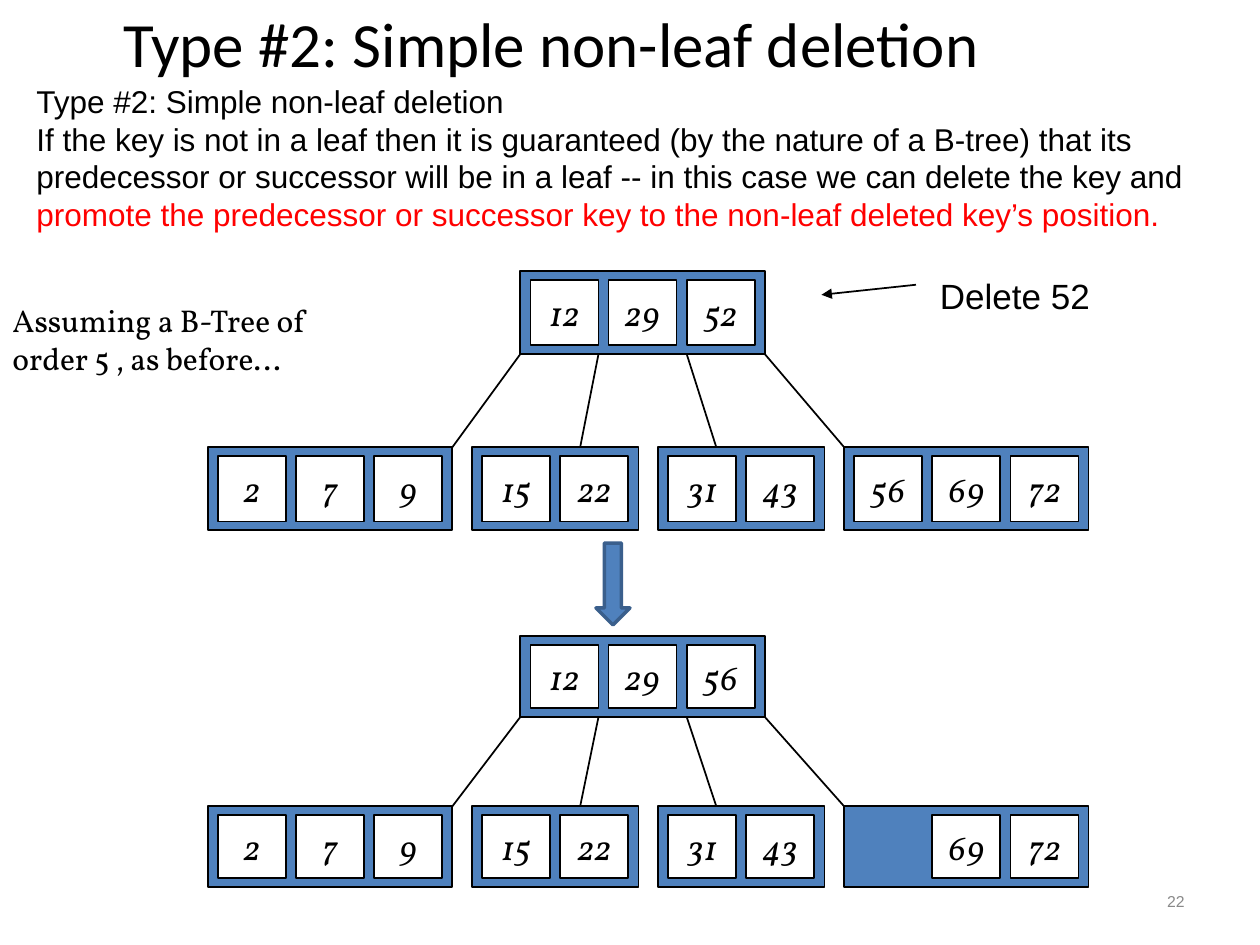
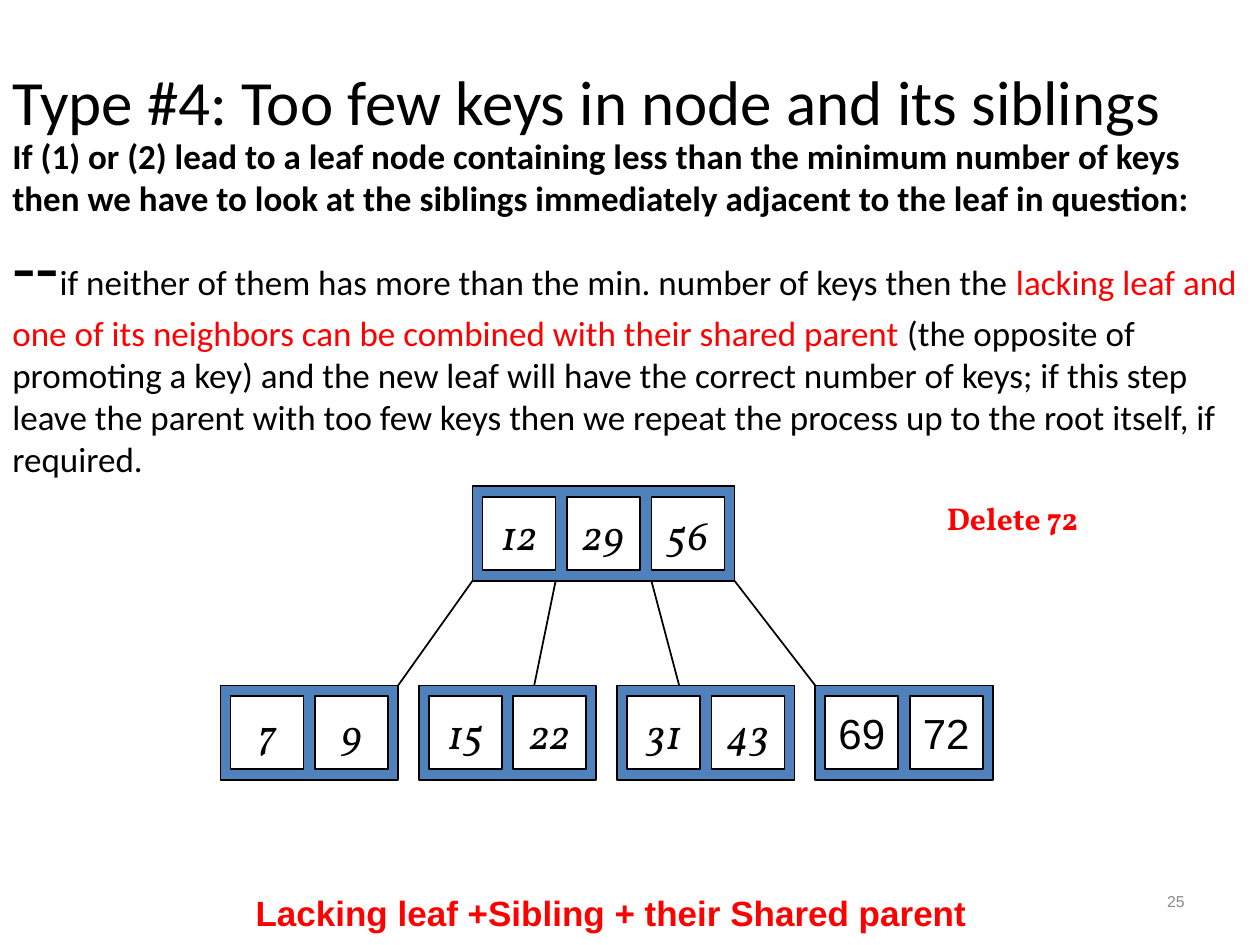
from lxml import etree
from pptx import Presentation
from pptx import util as u
from pptx.dml.color import RGBColor
from pptx.enum import shapes, text
from pptx.oxml import ns

Inches, Pt = u.Inches, u.Pt
COLORS = {"ink": "000000", "paper": "FFFFFF", "node": "4F81BD",
          "arrow": "3A5F8C", "accent": "FF0000", "muted": "898989"}
LEFT, CENTER, RIGHT = text.PP_ALIGN.LEFT, text.PP_ALIGN.CENTER, text.PP_ALIGN.RIGHT
TOP, MIDDLE = text.MSO_ANCHOR.TOP, text.MSO_ANCHOR.MIDDLE

# Text styles
TITLE = {"name": "Calibri", "size": 36}
BODY = {"name": "Arial", "size": 18}
BOOK = {"name": "Vollkorn", "size": 18}
LABEL = {"name": "Arial", "size": 20}
KEY = {"name": "Vollkorn", "size": 20, "italic": True}
NUMBER = {"name": "Arial", "size": 9, "color": "muted"}
ALERT = {"color": "accent", "bold": True}

# Tree sizes in inches
SMALL_TREE = {"cell": 0.54, "pitch": 0.62, "pad": 0.08, "node_height": 0.66,
              "cell_height": 0.52, "key": KEY}
FLAT_TREE = SMALL_TREE | {"node_height": 0.64, "cell_height": 0.5}
LARGE_TREE = {"cell": 0.58, "pitch": 0.67, "pad": 0.08, "node_height": 0.75,
              "cell_height": 0.58, "key": KEY | {"size": 24}}


def rgb(name):
    return RGBColor.from_string(COLORS[name])


class Deck:
    def __init__(self):
        self.presentation = Presentation()
        self.presentation.slide_width = Inches(10)
        self.presentation.slide_height = Inches(7.5)
        self.slide = None

    def new_slide(self, title, box, number, align=LEFT):
        layout = self.presentation.slide_layouts[5]
        self.slide = self.presentation.slides.add_slide(layout)
        shape = self.slide.shapes.title
        for name, value in zip(("left", "top", "width", "height"), box):
            setattr(shape, name, Inches(value))
        self.fill_text(shape, [[(title, TITLE)]], align, MIDDLE)
        self.text((7.17, 6.95, 2.33, 0.4), [[(number, NUMBER)]], RIGHT, MIDDLE)

    def fill_text(self, shape, paragraphs, align, anchor, wrap=True):
        """Fill a shape with paragraphs, each a list of (text, style) runs."""
        frame = shape.text_frame
        settings = {"auto_size": text.MSO_AUTO_SIZE.NONE, "word_wrap": wrap,
                    "vertical_anchor": anchor}
        for name, value in settings.items():
            setattr(frame, name, value)
        for index, runs in enumerate(paragraphs):
            paragraph = frame.add_paragraph() if index else frame.paragraphs[0]
            paragraph.alignment = align
            for content, style in runs:
                run = paragraph.add_run()
                run.text = content
                for name, value in style.items():
                    if name != "color":
                        setattr(run.font, name, Pt(value) if name == "size" else value)
                run.font.color.rgb = rgb(style.get("color", "ink"))

    def text(self, box, paragraphs, align=LEFT, anchor=TOP):
        shape = self.slide.shapes.add_textbox(*map(Inches, box))
        self.fill_text(shape, paragraphs, align, anchor)

    def shape(self, box, fill, line="ink", weight=1, parent=None,
              kind=shapes.MSO_SHAPE.RECTANGLE):
        parent = parent or self.slide.shapes
        shape = parent.add_shape(kind, *map(Inches, box))
        shape.shadow.inherit = False
        shape.fill.solid()
        shape.fill.fore_color.rgb = rgb(fill)
        shape.line.color.rgb = rgb(line)
        shape.line.width = Pt(weight)
        return shape

    def line(self, start, end, parent=None, arrow=False):
        parent = parent or self.slide.shapes
        connector = parent.add_connector(shapes.MSO_CONNECTOR.STRAIGHT,
                                         *map(Inches, (*start, *end)))
        connector.line.color.rgb = rgb("ink")
        connector.line.width = Pt(1)
        properties = connector._element.spPr
        if arrow:
            outline = properties.find(ns.qn("a:ln"))
            etree.SubElement(outline, ns.qn("a:tailEnd"), type="triangle")
        etree.SubElement(properties, ns.qn("a:effectLst"))

    def node(self, parent, left, top, keys, size, key_style):
        """Draw one node; a key of None leaves its slot empty."""
        pad = size["pad"]
        width = self.node_width(keys, size)
        self.shape((left, top, width, size["node_height"]), "node", parent=parent)
        cell_top = top + (size["node_height"] - size["cell_height"]) / 2
        for index, key in enumerate(keys):
            if key is None:
                continue
            cell_left = left + pad + index * size["pitch"]
            cell = self.shape((cell_left, cell_top, size["cell"], size["cell_height"]),
                              "paper", parent=parent)
            self.fill_text(cell, [[(str(key), key_style)]], CENTER, MIDDLE, wrap=False)

    @staticmethod
    def node_width(keys, size):
        return (len(keys) - 1) * size["pitch"] + size["cell"] + 2 * size["pad"]

    def tree(self, root, root_at, leaves, leaf_top, span, size, last_key=None):
        """Draw a root and four leaves spread evenly over the span."""
        group = self.slide.shapes.add_group_shape().shapes
        root_left, root_top = root_at
        self.node(group, root_left, root_top, root, size, size["key"])

        # Leaves with equal gaps
        widths = [self.node_width(keys, size) for keys in leaves]
        gap = (span[1] - span[0] - sum(widths)) / (len(leaves) - 1)
        lefts = [span[0] + sum(widths[:i]) + i * gap for i in range(len(leaves))]
        styles = [size["key"]] * (len(leaves) - 1) + [last_key or size["key"]]
        for left, keys, style in zip(lefts, leaves, styles):
            self.node(group, left, leaf_top, keys, size, style)

        # Links from the root's corners and inner gaps
        root_bottom = root_top + size["node_height"]
        starts = (0, size["pad"] + size["cell"], size["pad"] + 2 * size["pitch"],
                  self.node_width(root, size))
        shares = (1, 0.65, 0.35, 0)
        for start, left, width, share in zip(starts, lefts, widths, shares):
            self.line((root_left + start, root_bottom),
                      (left + share * width, leaf_top), group)


def simple_deletion(deck):
    heading = "Type #2: Simple non-leaf deletion"
    deck.new_slide(heading, (0.88, 0, 8.62, 0.67), "22")
    deck.text((0.19, 0.6, 9.81, 1.4), [
        [(heading, BODY)],
        [("If the key is not in a leaf then it is guaranteed (by the nature of a B-tree) "
          "that its predecessor or successor will be in a leaf -- in this case we can "
          "delete the key and", BODY),
         (" promote the predecessor or successor key to the non-leaf deleted key’s "
          "position.", BODY | {"color": "accent"})]])

    # Tree before and after
    leaves = [(2, 7, 9), (15, 22), (31, 43)]
    span = (1.65, 8.64)
    deck.tree((12, 29, 52), (4.13, 2.15), leaves + [(56, 69, 72)], 3.55, span, SMALL_TREE)
    deck.tree((12, 29, 56), (4.13, 5.05), leaves + [(None, 69, 72)], 6.4, span, FLAT_TREE)
    deck.shape((4.73, 4.31, 0.27, 0.65), "node", "arrow", 2,
               kind=shapes.MSO_SHAPE.DOWN_ARROW)

    # Remarks
    deck.text((7.33, 2.13, 1.45, 0.43), [[("Delete 52", LABEL)]], CENTER, MIDDLE)
    deck.line((7.27, 2.26), (6.52, 2.34), arrow=True)
    deck.text((0, 2.25, 3.17, 0.88),
              [[("Assuming a B-Tree of order 5 , as before...", BOOK)]], anchor=MIDDLE)


def too_few_keys(deck):
    deck.new_slide("Type #4: Too few keys in node and its siblings",
                   (0, 0.46, 10, 0.68), "25")
    rule = TITLE | {"size": 20}
    deck.text((0, 1.02, 10, 2.84), [
        [("If (1) or (2) lead to a leaf node containing less than the minimum number of "
          "keys then we have to look at the siblings immediately adjacent to the leaf in "
          "question:", rule | {"bold": True})],
        [("--", TITLE | {"size": 44}),
         ("if neither of them has more than the min. number of keys then the", rule),
         (" lacking leaf and one of its neighbors can be combined with their shared "
          "parent ", rule | {"color": "accent"}),
         ("(the opposite of promoting a key) and the new leaf will have the correct "
          "number of keys; if this step leave the parent with too few keys then we repeat "
          "the process up to the root itself, if required.", rule)]])

    # Tree
    deck.tree((12, 29, 56), (3.75, 3.86), [(7, 9), (15, 22), (31, 43), (69, 72)],
              5.44, (1.75, 7.88), LARGE_TREE, last_key=LABEL | {"size": 24})

    # Remarks
    deck.text((7.34, 3.91, 1.39, 0.4), [[("Delete 72", BOOK | ALERT)]], CENTER, MIDDLE)
    deck.text((1.93, 7.03, 7.05, 0.44),
              [[("Lacking leaf +Sibling + their Shared parent", LABEL | ALERT)]])


def main():
    deck = Deck()
    simple_deletion(deck)
    too_few_keys(deck)
    deck.presentation.save("out.pptx")


if __name__ == "__main__":
    main()
